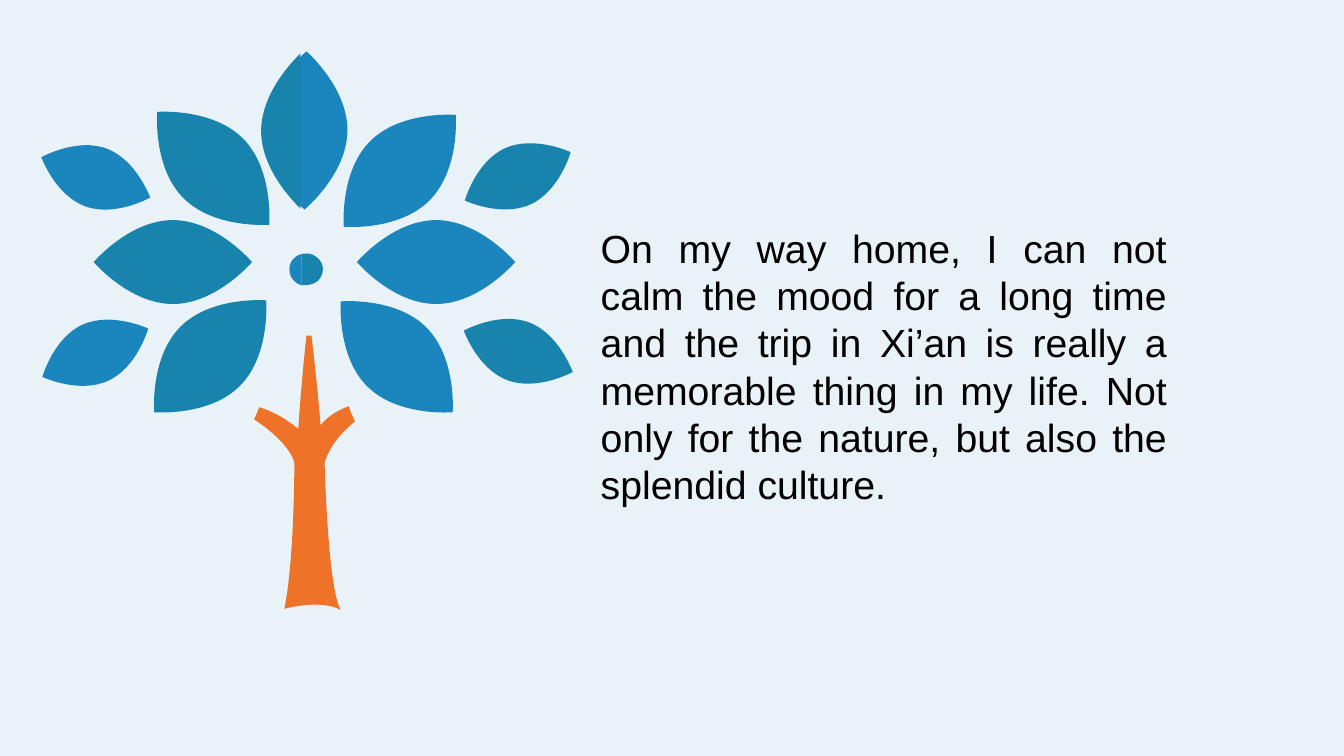
from dataclasses import dataclass
from math import dist

from lxml import etree
from pptx import Presentation, util as u
from pptx.dml.color import RGBColor
from pptx.enum import text
from pptx.oxml import ns
from pptx.shapes.autoshape import Shape

BLUE, TEAL, ORANGE = "1B85BD", "1884AE", "EE7228"
LEAF_RATIO = 0.53
LEAF_ROUNDNESS = 0.55

Point = tuple[float, float]
Curve = tuple[Point, Point, Point]


@dataclass
class Leaf:
    base: Point
    tip: Point
    color: str


@dataclass
class Outline:
    start: Point
    curves: list[Curve]
    color: str


LEAVES = [
    Leaf((3.02, 2.08), (3.04, 0.51), BLUE),
    Leaf((4.6, 3.28), (5.68, 3.69), TEAL),
    Leaf((4.61, 1.99), (5.66, 1.51), TEAL),
    Leaf((3.38, 2.99), (4.49, 4.09), BLUE),
    Leaf((3.41, 2.25), (4.52, 1.14), BLUE),
    Leaf((1.49, 1.96), (0.41, 1.56), BLUE),
    Leaf((1.47, 3.26), (0.42, 3.74), BLUE),
    Leaf((2.67, 2.23), (1.56, 1.11), TEAL),
    Leaf((2.5, 2.6), (0.93, 2.6), TEAL),
    Leaf((2.64, 2.98), (1.53, 4.09), TEAL),
    Leaf((3.54, 2.6), (5.11, 2.6), BLUE),
]

TOP_LEAF_SHADE = Outline((2.98, 0.53), [
    ((2.91, 0.6), (2.59, 0.92), (2.59, 1.3)),
    ((2.59, 1.68), (2.91, 2), (2.98, 2.07)),
], TEAL)

DOT_RIGHT = Outline((3.15, 2.79), [
    ((3.22, 2.72), (3.22, 2.62), (3.15, 2.56)),
    ((3.09, 2.5), (2.99, 2.5), (2.93, 2.56)),
    ((2.93, 2.56), (2.99, 2.52), (2.99, 2.52)),
    ((2.99, 2.83), (2.99, 2.83), (2.99, 2.83)),
    ((3.04, 2.83), (3.1, 2.83), (3.15, 2.79)),
], TEAL)

DOT_LEFT = Outline((2.99, 2.52), [
    ((2.99, 2.52), (2.87, 2.55), (2.87, 2.67)),
    ((2.87, 2.8), (2.99, 2.83), (2.99, 2.83)),
], BLUE)

TRUNK = Outline((3.18, 4.22), [
    ((3.18, 4.22), (3.16, 3.93), (3.09, 3.33)),
    ((3.07, 3.33), (3.06, 3.33), (3.04, 3.33)),
    ((3.01, 3.6), (2.97, 4.05), (2.96, 4.25)),
    ((2.96, 4.27), (2.83, 4.12), (2.57, 4.04)),
    ((2.56, 4.08), (2.54, 4.12), (2.52, 4.16)),
    ((2.69, 4.27), (2.88, 4.44), (2.92, 4.59)),
    ((2.92, 4.59), (2.92, 5.57), (2.82, 6.04)),
    ((2.82, 6.04), (3.17, 5.94), (3.38, 6.05)),
    ((3.25, 5.84), (3.22, 4.59), (3.22, 4.59)),
    ((3.27, 4.42), (3.39, 4.29), (3.52, 4.18)),
    ((3.5, 4.13), (3.47, 4.08), (3.46, 4.03)),
    ((3.35, 4.07), (3.25, 4.13), (3.18, 4.22)),
], ORANGE)

CLOSING_WORDS = (
    "On my way home, I can not calm the mood for a long time and the trip in "
    "Xi’an is really a memorable thing in my life. Not only for the nature, "
    "but also the splendid culture."
)


def set_color(fill, color: str) -> None:
    fill.solid()
    fill.fore_color.rgb = RGBColor.from_string(color)


def bend_segments(shape: Shape) -> None:
    segments = list(shape._element.iter(ns.qn("a:lnTo")))
    for index in range(0, len(segments), 3):
        bend = etree.Element(ns.qn("a:cubicBezTo"))
        segments[index].addprevious(bend)
        for segment in segments[index:index + 3]:
            bend.append(segment[0])
            segment.getparent().remove(segment)


def draw_outline(shapes, outline: Outline) -> Shape:
    points = [outline.start, *(point for curve in outline.curves for point in curve)]
    vertices = [(u.Inches(x), u.Inches(y)) for x, y in points]
    builder = shapes.build_freeform(*vertices[0])
    builder.add_line_segments(vertices[1:], close=True)
    shape = builder.convert_to_shape()
    bend_segments(shape)
    shape.shadow.inherit = False
    set_color(shape.fill, outline.color)
    shape.line.fill.background()
    return shape


def leaf_outline(leaf: Leaf) -> Outline:
    (base_x, base_y), (tip_x, tip_y) = leaf.base, leaf.tip
    half = dist(leaf.base, leaf.tip) / 2
    along_x, along_y = (tip_x - base_x) / 2 / half, (tip_y - base_y) / 2 / half

    def place(along: float, across: float) -> Point:
        return ((base_x + tip_x) / 2 + half * (along * along_x - across * along_y),
                (base_y + tip_y) / 2 + half * (along * along_y + across * along_x))

    curves = []
    for end, side in ((-1, LEAF_RATIO), (1, -LEAF_RATIO)):
        curves.append((place(end, 0), place(end * LEAF_ROUNDNESS, side), place(0, side)))
        curves.append((place(-end * LEAF_ROUNDNESS, side), place(-end, 0), place(-end, 0)))
    return Outline(leaf.base, curves, leaf.color)


def add_text(shapes, words: str, *, left: float, top: float, width: float, height: float,
             size: float, font: str, color: str, align: text.PP_ALIGN) -> Shape:
    box = shapes.add_textbox(u.Inches(left), u.Inches(top), u.Inches(width), u.Inches(height))
    box.text_frame.word_wrap = True
    paragraph = box.text_frame.paragraphs[0]
    paragraph.alignment = align
    run = paragraph.add_run()
    run.text = words
    run.font.size = u.Pt(size)
    run.font.name = font
    set_color(run.font.fill, color)
    return box


def main() -> None:
    presentation = Presentation()
    presentation.slide_width, presentation.slide_height = u.Inches(13.33), u.Inches(7.5)
    slide = presentation.slides.add_slide(presentation.slide_layouts[6])
    set_color(slide.background.fill, "E9F2F6")

    crown = slide.shapes.add_group_shape()
    for outline in [*map(leaf_outline, LEAVES), TOP_LEAF_SHADE, DOT_RIGHT, DOT_LEFT]:
        draw_outline(crown.shapes, outline)
    draw_outline(slide.shapes, TRUNK)

    add_text(slide.shapes, CLOSING_WORDS, left=5.86, top=2.18, width=5.81, height=2.93,
             size=28, font="Arial", color="000000", align=text.PP_ALIGN.JUSTIFY)
    presentation.save("out.pptx")


if __name__ == "__main__":
    main()
